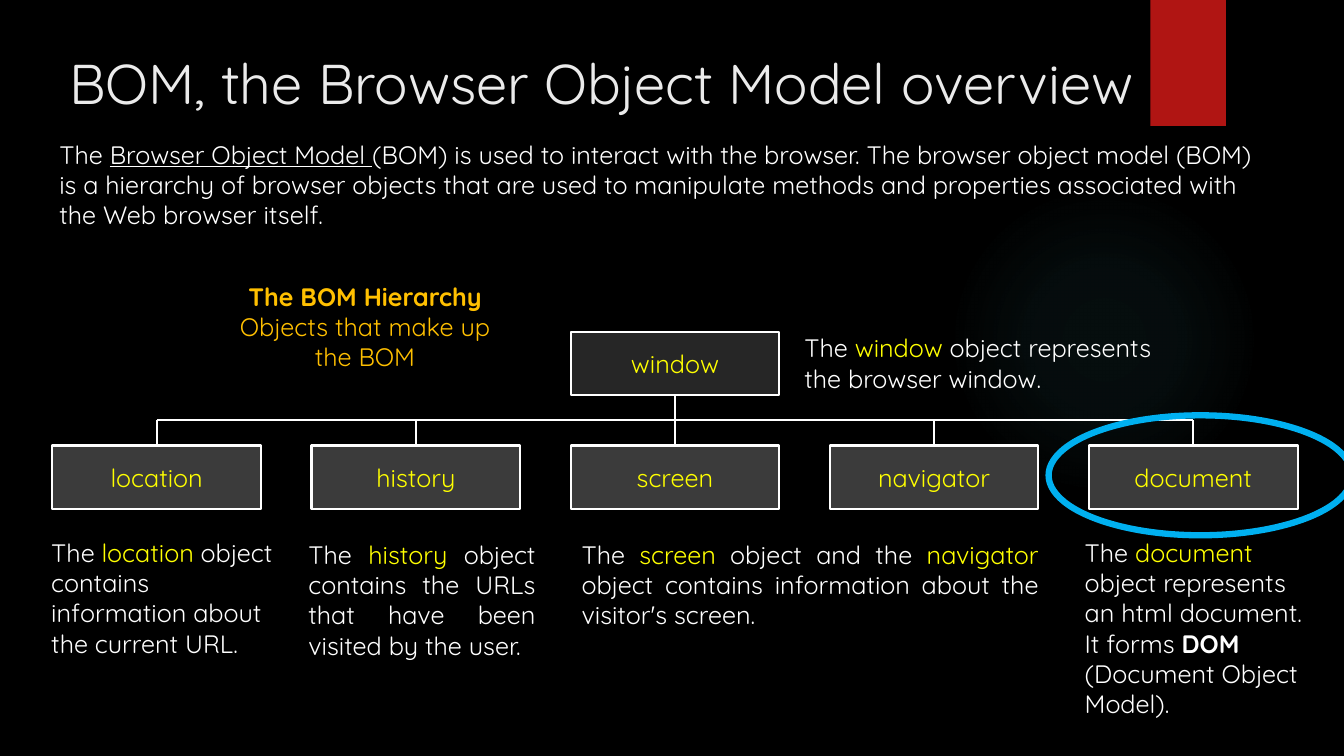
from lxml.etree import SubElement
from pptx import Presentation
from pptx.dml.color import RGBColor
from pptx.enum.shapes import MSO_CONNECTOR, MSO_SHAPE
from pptx.enum.text import MSO_ANCHOR, PP_ALIGN
from pptx.oxml import parse_xml
from pptx.oxml.ns import nsdecls, qn
from pptx.util import Inches, Pt

COLORS = {
    "background": "000000", "glow": "50B9C1", "ribbon": "B01513",
    "title": "EBEBEB", "text": "FFFFFF", "term": "FFFF00",
    "caption": "FFC000", "root": "262626", "child": "3B3B3B",
    "highlight": "00B0F0",
}
FONT = "Quicksand"
GRID_LEFT, COLUMN_PITCH = 0.52, 2.57
NODE_WIDTH, NODE_HEIGHT = 2.07, 0.63
ROOT_TOP, BUS_TOP, CHILD_TOP = 3.29, 4.17, 4.42
ROOT_COLUMN = 2
CHILDREN = ["location", "history", "screen", "navigator", "document"]

INTRO = [[
    ("The ", "text", ""),
    ("Browser Object Model ", "text", "underline"),
    ("(BOM) is used to interact with the browser. The browser object model "
     "(BOM) is a hierarchy of browser objects that are used to manipulate "
     "methods and properties associated with the Web browser itself.", "text", ""),
]]
CAPTION = [
    [("The BOM Hierarchy", "caption", "bold")],
    [("Objects that make up the BOM", "caption", "")],
]
DESCRIPTIONS = [
    ((7.88, 3.25, 3.86, 0.71), PP_ALIGN.LEFT, [
        ("The ", "text", ""), ("window", "term", ""),
        (" object represents the browser window.", "text", "")]),
    ((0.41, 5.28, 2.42, 1.31), PP_ALIGN.LEFT, [
        ("The ", "text", ""), ("location", "term", ""),
        (" object contains information about the current URL.", "text", "")]),
    ((2.96, 5.3, 2.45, 1.31), PP_ALIGN.JUSTIFY, [
        ("The ", "text", ""), ("history", "term", ""),
        (" object contains the URLs that have been visited by the user.", "text", "")]),
    ((5.67, 5.3, 4.73, 1.01), PP_ALIGN.JUSTIFY, [
        ("The ", "text", ""), ("screen", "term", ""),
        (" object and the ", "text", ""), ("navigator", "term", ""),
        (" object contains information about the visitor's screen.", "text", "")]),
    ((10.66, 5.28, 2.54, 1.92), PP_ALIGN.LEFT, [
        ("The ", "text", ""), ("document ", "term", ""),
        ("object represents an html document. It forms ", "text", ""),
        ("DOM", "text", "bold"), (" (Document Object Model).", "text", "")]),
]


def color(name):
    """Return the named colour."""
    return RGBColor.from_string(COLORS[name])


def fill_text(frame, paragraphs, align, size):
    """Write paragraphs of (words, colour, emphasis) runs into a frame."""
    frame.word_wrap = True
    for index, runs in enumerate(paragraphs):
        paragraph = frame.add_paragraph() if index else frame.paragraphs[0]
        paragraph.alignment = align
        for words, tone, emphasis in runs:
            run = paragraph.add_run()
            run.text = words
            run.font.name = FONT
            run.font.size = Pt(size)
            run.font.color.rgb = color(tone)
            run.font.bold = emphasis == "bold"
            run.font.underline = emphasis == "underline"


def add_text(slide, box, paragraphs, align=PP_ALIGN.LEFT, size=18):
    """Place a wrapped text box."""
    label = slide.shapes.add_textbox(*map(Inches, box))
    fill_text(label.text_frame, paragraphs, align, size)


def add_figure(slide, preset, box, fill=None, line=None, weight=1.5):
    """Place a preset shape without shadow."""
    figure = slide.shapes.add_shape(preset, *map(Inches, box))
    figure.shadow.inherit = False
    if fill:
        figure.fill.solid()
        figure.fill.fore_color.rgb = color(fill)
    else:
        figure.fill.background()
    if line:
        figure.line.color.rgb = color(line)
        figure.line.width = Pt(weight)
    else:
        figure.line.fill.background()
    return figure


def add_glow(slide, box):
    """Place the faint round glow that fades outwards."""
    glow = add_figure(slide, MSO_SHAPE.OVAL, box)
    stops = "".join(
        f'<a:gs pos="{place}000"><a:srgbClr val="{COLORS["glow"]}">'
        f'<a:alpha val="{alpha}000"/></a:srgbClr></a:gs>'
        for place, alpha in [(0, 7), (36, 6), (69, 0)])
    gradient = parse_xml(
        f'<a:gradFill {nsdecls("a")}><a:gsLst>{stops}</a:gsLst>'
        '<a:path path="circle"><a:fillToRect l="50000" t="50000" '
        'r="50000" b="50000"/></a:path></a:gradFill>')
    properties = glow.element.spPr
    properties.replace(properties.find(qn("a:noFill")), gradient)


def add_line(slide, start, end):
    """Draw a straight white connector."""
    line = slide.shapes.add_connector(
        MSO_CONNECTOR.STRAIGHT, *map(Inches, (*start, *end)))
    line.line.color.rgb = color("text")
    line.line.width = Pt(1.5)
    SubElement(line.element.spPr, qn("a:effectLst"))
    return line


def add_node(slide, column, top, word, fill):
    """Place one object of the hierarchy in its grid column."""
    box = (GRID_LEFT + column * COLUMN_PITCH, top, NODE_WIDTH, NODE_HEIGHT)
    node = add_figure(slide, MSO_SHAPE.RECTANGLE, box, fill, "text")
    node.text_frame.vertical_anchor = MSO_ANCHOR.MIDDLE
    fill_text(node.text_frame, [[(word, "term", "")]], PP_ALIGN.CENTER, 18)
    return node


def column_middle(column):
    """Return the horizontal middle of a grid column."""
    return GRID_LEFT + column * COLUMN_PITCH + NODE_WIDTH / 2


def add_hierarchy(slide):
    """Draw the window object, its children and the lines between them."""
    window = add_node(slide, ROOT_COLUMN, ROOT_TOP, "window", "root")
    add_line(slide, (column_middle(0), BUS_TOP),
             (column_middle(len(CHILDREN) - 1), BUS_TOP))
    for column, word in enumerate(CHILDREN):
        child = add_node(slide, column, CHILD_TOP, word, "child")
        middle = column_middle(column)
        branch = add_line(slide, (middle, BUS_TOP), (middle, CHILD_TOP))
        if column == ROOT_COLUMN:
            branch.begin_connect(window, 2)
        branch.end_connect(child, 0)


def add_backdrop(slide):
    """Paint the background, the glow and the red ribbon."""
    slide.background.fill.solid()
    slide.background.fill.fore_color.rgb = color("background")
    add_glow(slide, (9.41, 1.83, 3.08, 3.08))
    add_figure(slide, MSO_SHAPE.RECTANGLE, (11.41, 0, 0.75, 1.25), "ribbon")


def main():
    """Build the slide and save it."""
    deck = Presentation()
    deck.slide_width, deck.slide_height = Inches(13.33), Inches(7.5)
    slide = deck.slides.add_slide(deck.slide_layouts[6])
    add_backdrop(slide)
    add_text(slide, (0.59, 0.43, 11.53, 0.88),
             [[("BOM, the Browser Object Model overview", "title", "")]], size=40)
    add_text(slide, (0.49, 1.33, 12.1, 1.01), INTRO)
    add_text(slide, (2.26, 2.74, 2.72, 1.01), CAPTION, PP_ALIGN.CENTER)
    add_hierarchy(slide)
    for box, align, runs in DESCRIPTIONS:
        add_text(slide, box, [runs], align)
    add_figure(slide, MSO_SHAPE.OVAL, (10.4, 4.12, 3.01, 1.19),
               line="highlight", weight=4.5)
    deck.save("out.pptx")


if __name__ == "__main__":
    main()
